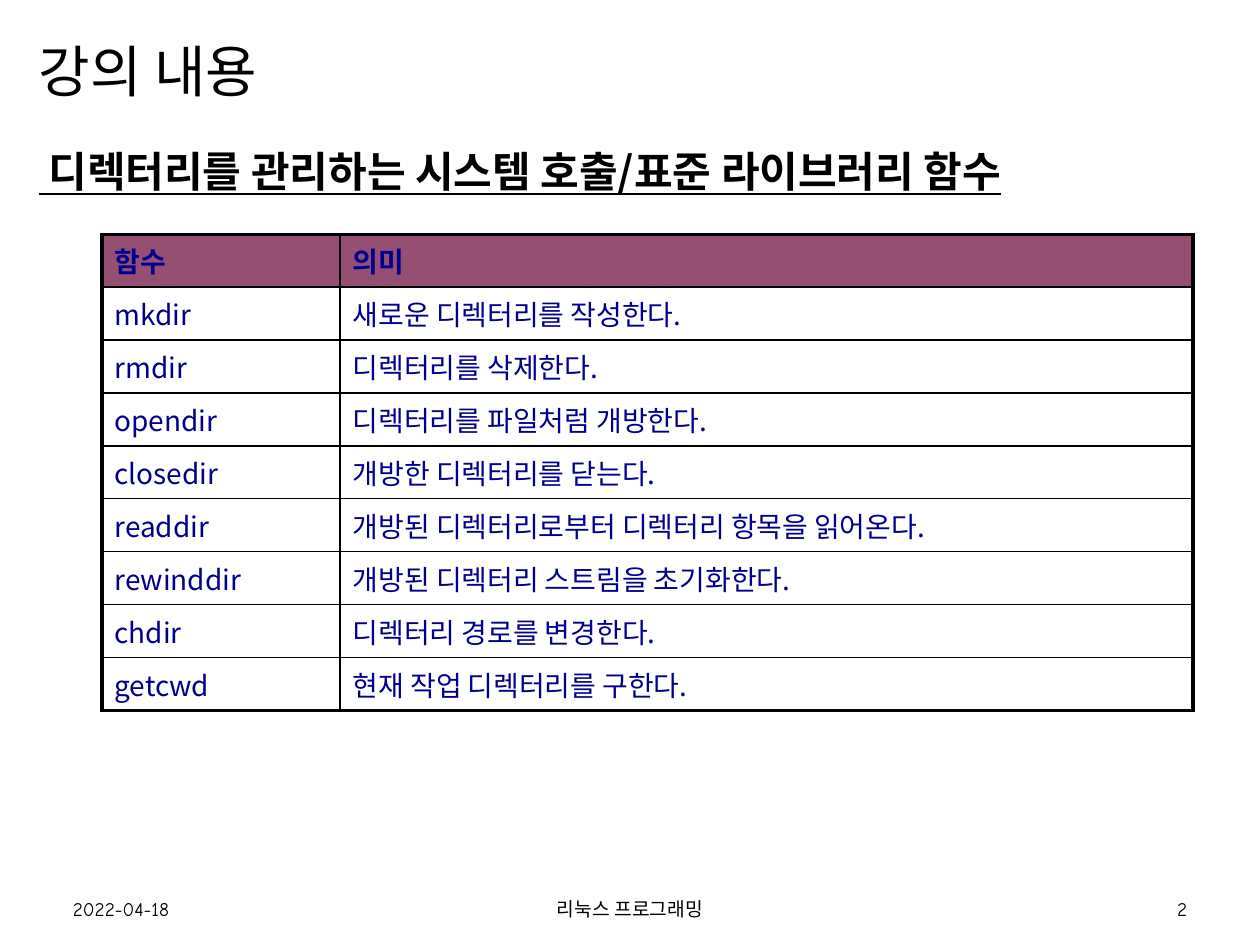
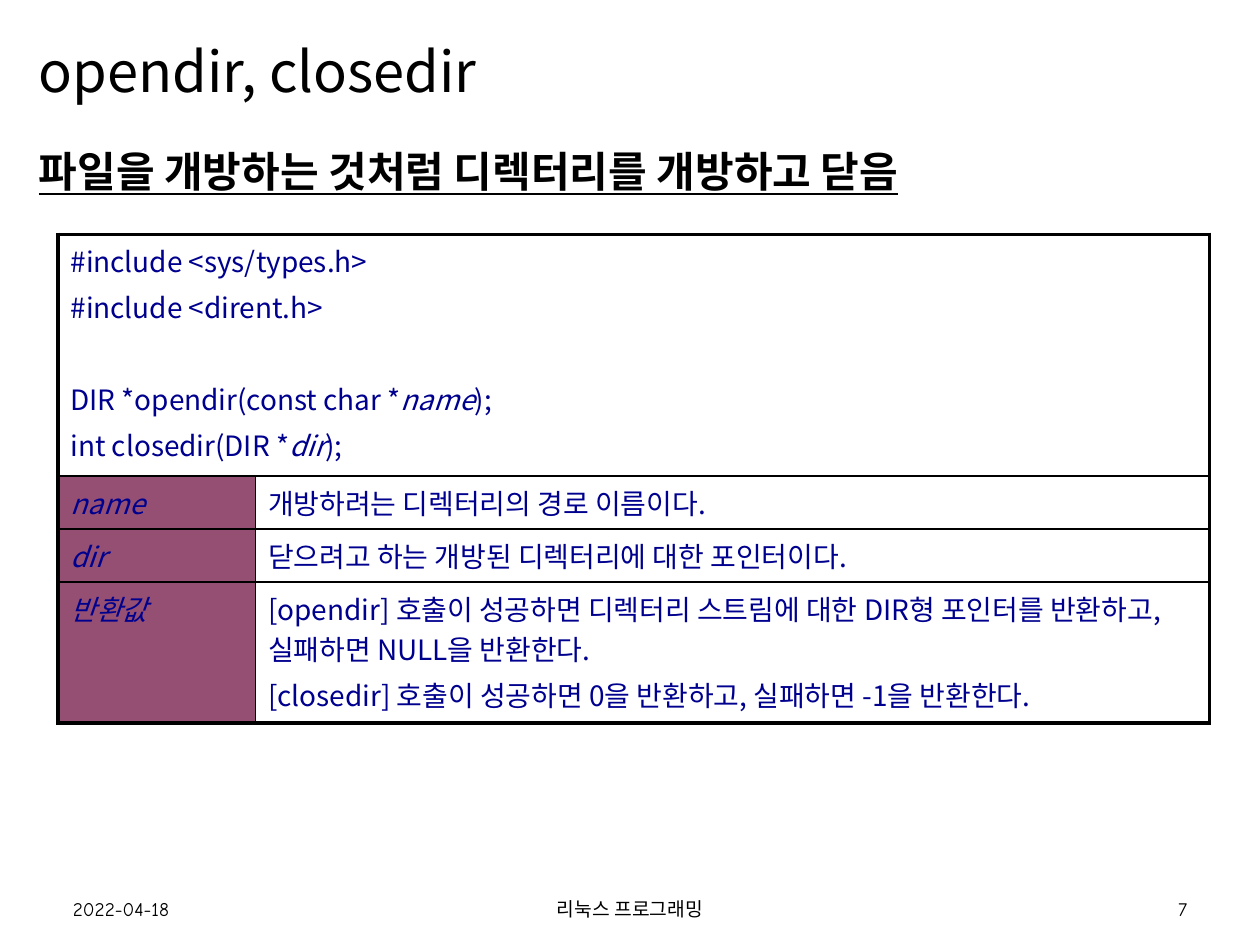
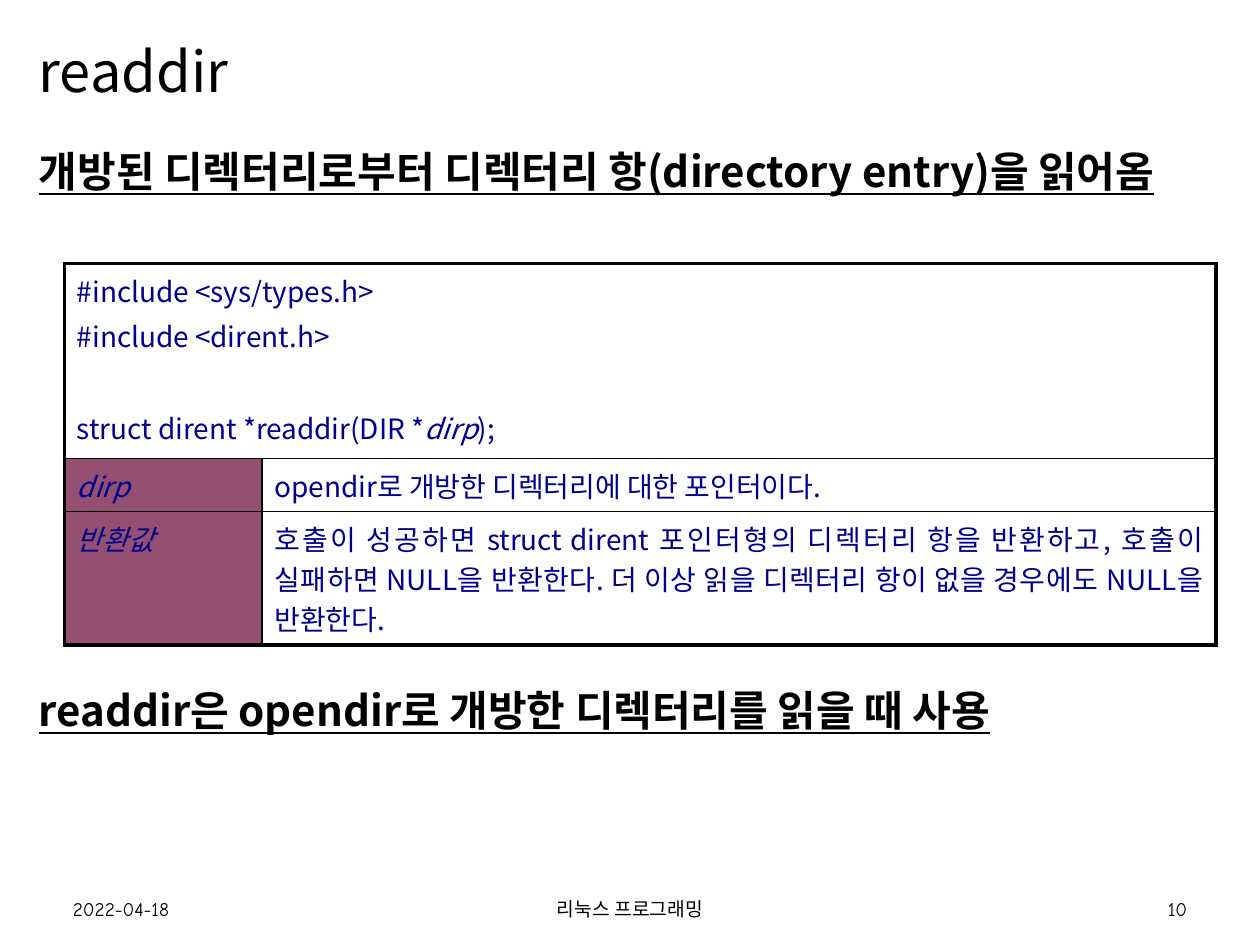
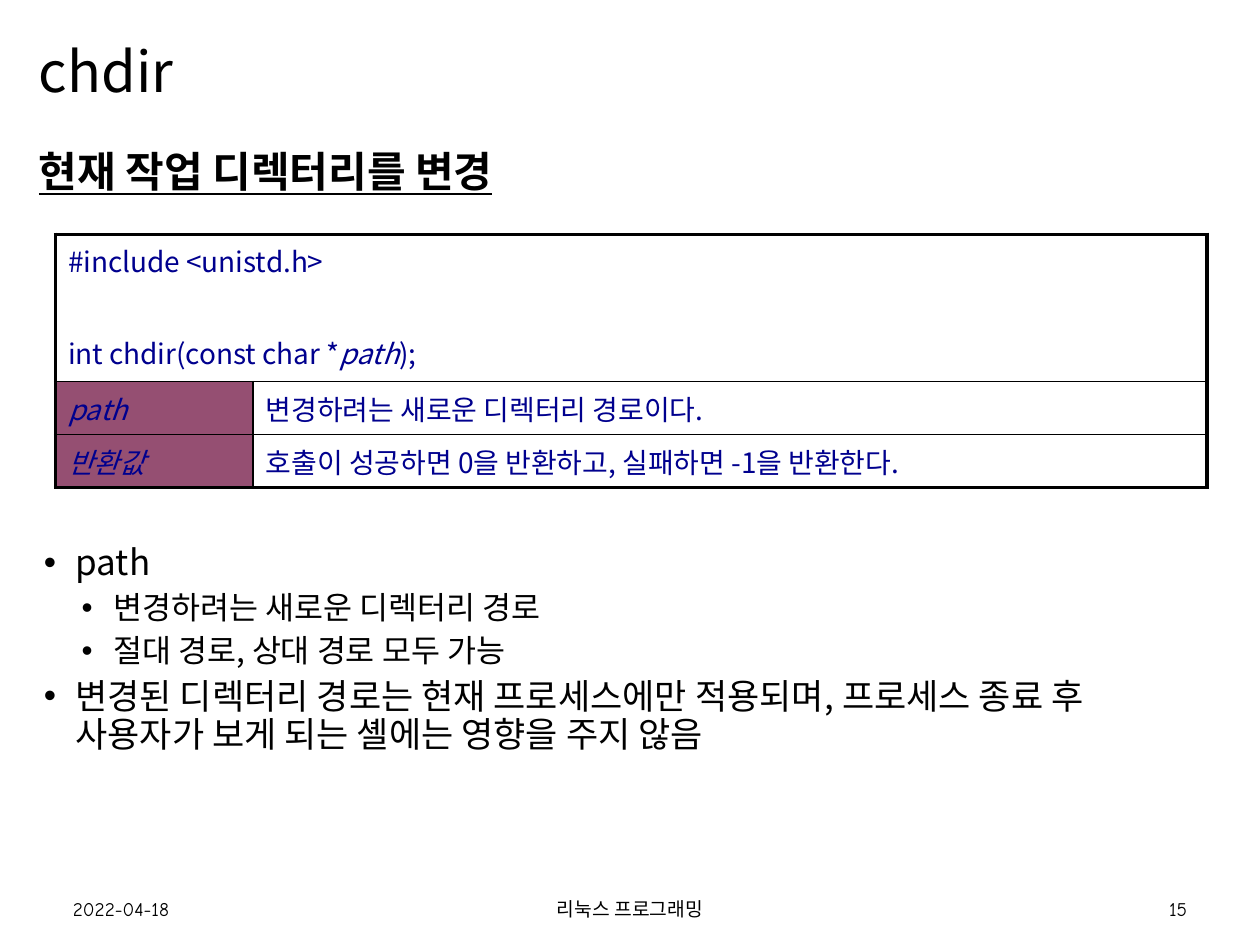
import dataclasses

import pptx
import pptx.dml.color
import pptx.enum.text
import pptx.oxml.ns
import pptx.util
from lxml import etree

RGBColor = pptx.dml.color.RGBColor
ALIGN = pptx.enum.text.PP_ALIGN
ANCHOR = pptx.enum.text.MSO_ANCHOR
qn = pptx.oxml.ns.qn

# Scale: 100 px to the inch
PX = 9144
PAGE_WIDTH, PAGE_HEIGHT = 1000, 750

# Shared style
BLACK = RGBColor(0x00, 0x00, 0x00)
NAVY = RGBColor(0x00, 0x00, 0x8E)
PLUM = RGBColor(0x95, 0x4F, 0x72)
TEXT_FONT = "Noto Sans CJK KR"
FOOTER_FONT = "Comic Neue"
TIGHT = 0.91  # line spacing of titles and body text
HEADING_STEP = 38.8  # points taken by one heading line with its gap
CELL_GAP = 3.2  # points between paragraphs in a cell
CODE_BREAK = 29.5  # gap that sets prototypes apart from includes
OUTER_LINE, INNER_LINE = 2.25, 1
ROW = 42
DATE = "2022-04-18"
COURSE = "리눅스 프로그래밍"


@dataclasses.dataclass
class Line:
    """One paragraph; words between underscores are italic."""
    text: str
    size: int = 16
    color: RGBColor = NAVY
    font: str = TEXT_FONT
    bold: bool = False
    underline: bool = False
    align: ALIGN = ALIGN.LEFT
    gap: float = CELL_GAP
    spacing: float = 1.0
    indent: int = 0


def heading(text, gap=10):
    return Line(text, 24, BLACK, bold=True, underline=True, gap=gap,
                spacing=TIGHT)


def bullet(text, level=1, gap=5):
    size, indent = {1: (20, 29), 2: (18, 59)}[level]
    return Line(text, size, BLACK, gap=gap, spacing=TIGHT, indent=indent)


def justified(text):
    return Line(text, align=ALIGN.JUSTIFY)


class Deck:
    def __init__(self):
        self.deck = pptx.Presentation()
        self.deck.slide_width = PAGE_WIDTH * PX
        self.deck.slide_height = PAGE_HEIGHT * PX
        self.page = None

    def add_page(self, title, number, body):
        self.page = self.deck.slides.add_slide(self.deck.slide_layouts[6])
        self.text((21, 10, 958, 97), [Line(title, 32, BLACK, spacing=TIGHT)],
                  ANCHOR.MIDDLE)
        self.text((21, 115, 958, 585), body)
        footers = [
            (48, 225, DATE, ALIGN.LEFT),
            (331, 338, COURSE, ALIGN.CENTER),
            (727, 225, str(number), ALIGN.RIGHT),
        ]
        for left, width, words, align in footers:
            line = Line(words, 11, BLACK, FOOTER_FONT, align=align)
            self.text((left, 707, width, 28), [line], ANCHOR.MIDDLE)

    def text(self, place, lines, anchor=ANCHOR.TOP):
        box = self.page.shapes.add_textbox(*(length * PX for length in place))
        box.text_frame.word_wrap = True
        box.text_frame.vertical_anchor = anchor
        self.fill_frame(box.text_frame, lines)

    def fill_frame(self, frame, lines):
        for index, line in enumerate(lines):
            para = frame.add_paragraph() if index else frame.paragraphs[0]
            para.alignment = line.align
            para.line_spacing = line.spacing
            if index:
                para.space_before = pptx.util.Pt(line.gap)
            if line.indent:
                self.add_bullet(para, line.indent)
            for part, words in enumerate(line.text.split("_")):
                for row, piece in enumerate(words.split("\n")):
                    if row:
                        para.add_line_break()
                    if piece:
                        self.add_span(para, piece, line, part % 2 == 1)

    def add_span(self, para, words, line, italic):
        span = para.add_run()
        span.text = words
        font = span.font
        font.name = line.font
        font.size = pptx.util.Pt(line.size)
        font.bold = line.bold
        font.italic = italic
        font.underline = line.underline
        font.color.rgb = line.color

    def add_bullet(self, para, indent):
        props = para._p.get_or_add_pPr()
        props.set("marL", str(indent * PX))
        props.set("indent", str(-25 * PX))
        etree.SubElement(props, qn("a:buFont"), typeface="Arial")
        etree.SubElement(props, qn("a:buChar"), char="•")

    def table(self, left, top, widths, heights, rows, shaded):
        """Rows hold cells, cells hold lines; a lone cell spans its row."""
        table = self.page.shapes.add_table(
            len(rows), len(widths), left * PX, top * PX,
            sum(widths) * PX, sum(heights) * PX).table
        table.first_row = table.horz_banding = False
        for column, width in zip(table.columns, widths):
            column.width = width * PX
        for row, height in zip(table.rows, heights):
            row.height = height * PX
        last_row, last_column = len(rows) - 1, len(widths) - 1
        for r, cells in enumerate(rows):
            spans_row = len(cells) == 1
            if spans_row:
                table.cell(r, 0).merge(table.cell(r, last_column))
            for c in range(len(widths)):
                cell = table.cell(r, c)
                self.add_borders(cell, {
                    "L": c == 0 or spans_row,
                    "R": c == last_column or spans_row,
                    "T": r == 0,
                    "B": r == last_row,
                })
                if shaded(r, c):
                    cell.fill.solid()
                    cell.fill.fore_color.rgb = PLUM
                else:
                    cell.fill.background()
                if c < len(cells):
                    self.fill_frame(cell.text_frame, cells[c])

    def add_borders(self, cell, outer_sides):
        props = cell._tc.get_or_add_tcPr()
        for side, is_outer in outer_sides.items():
            points = OUTER_LINE if is_outer else INNER_LINE
            border = etree.SubElement(props, qn("a:ln" + side),
                                      w=str(int(pptx.util.Pt(points))))
            fill = etree.SubElement(border, qn("a:solidFill"))
            etree.SubElement(fill, qn("a:srgbClr"), val=str(BLACK))

    def function_table(self, left, top, heights, code, details):
        """Code across the top, then a shaded name beside each explanation."""
        rows = [[code]] + [[[Line(f"_{name}_")], lines] for name, lines in details]
        self.table(left, top, [157, 757], heights, rows,
                   lambda r, c: r > 0 and c == 0)


def build():
    deck = Deck()

    # Lecture contents
    deck.add_page("강의 내용", 2, [
        heading(" 디렉터리를 관리하는 시스템 호출/표준 라이브러리 함수")])
    functions = [
        ("mkdir", "새로운 디렉터리를 작성한다."),
        ("rmdir", "디렉터리를 삭제한다."),
        ("opendir", "디렉터리를 파일처럼 개방한다."),
        ("closedir", "개방한 디렉터리를 닫는다."),
        ("readdir", "개방된 디렉터리로부터 디렉터리 항목을 읽어온다."),
        ("rewinddir", "개방된 디렉터리 스트림을 초기화한다."),
        ("chdir", "디렉터리 경로를 변경한다."),
        ("getcwd", "현재 작업 디렉터리를 구한다."),
    ]
    rows = [[[Line(words, bold=True)] for words in ("함수", "의미")]]
    rows += [[[Line(words)] for words in pair] for pair in functions]
    deck.table(81, 186, [189, 677], [ROW] * len(rows), rows,
               lambda r, c: r == 0)

    # opendir, closedir
    deck.add_page("opendir, closedir", 7, [
        heading("파일을 개방하는 것처럼 디렉터리를 개방하고 닫음")])
    deck.function_table(46, 186, [192, ROW, ROW, 112], [
        Line("#include <sys/types.h>"),
        Line("#include <dirent.h>"),
        Line("DIR *opendir(const char *_name_);", gap=CODE_BREAK),
        Line("int closedir(DIR *_dir_);"),
    ], [
        ("name", [Line("개방하려는 디렉터리의 경로 이름이다.")]),
        ("dir", [justified("닫으려고 하는 개방된 디렉터리에 대한 포인터이다.")]),
        ("반환값", [
            Line("[opendir] 호출이 성공하면 디렉터리 스트림에 대한 DIR형 포인터를 "
                 "반환하고, 실패하면 NULL을 반환한다."),
            Line("[closedir] 호출이 성공하면 0을 반환하고, 실패하면 -1을 반환한다."),
        ]),
    ])

    # readdir
    deck.add_page("readdir", 10, [
        heading("개방된 디렉터리로부터 디렉터리 항(directory entry)을 읽어옴"),
        heading("readdir은 opendir로 개방한 디렉터리를 읽을 때 사용",
                gap=10 + 7 * HEADING_STEP),
    ])
    deck.function_table(51, 209, [155, ROW, 106], [
        Line("#include <sys/types.h>"),
        Line("#include <dirent.h>"),
        Line("struct dirent *readdir(DIR *_dirp_);", gap=CODE_BREAK),
    ], [
        ("dirp", [Line("opendir로 개방한 디렉터리에 대한 포인터이다.")]),
        ("반환값", [justified(
            "호출이 성공하면 struct dirent 포인터형의 디렉터리 항을 반환하고, "
            "호출이 실패하면 NULL을 반환한다. 더 이상 읽을 디렉터리 항이 없을 "
            "경우에도 NULL을 반환한다.")]),
    ])

    # chdir
    deck.add_page("chdir", 15, [
        heading("현재 작업 디렉터리를 변경"),
        bullet("path", gap=5 + 5 * HEADING_STEP),
        bullet("변경하려는 새로운 디렉터리 경로", level=2),
        bullet("절대 경로, 상대 경로 모두 가능", level=2),
        bullet("변경된 디렉터리 경로는 현재 프로세스에만 적용되며, 프로세스 종료 후\n"
               "사용자가 보게 되는 셸에는 영향을 주지 않음"),
    ])
    deck.function_table(44, 186, [117, ROW, ROW], [
        Line("#include <unistd.h>"),
        Line("int chdir(const char *_path_);", gap=CODE_BREAK),
    ], [
        ("path", [Line("변경하려는 새로운 디렉터리 경로이다.")]),
        ("반환값", [justified("호출이 성공하면 0을 반환하고, 실패하면 -1을 반환한다.")]),
    ])

    deck.deck.save("out.pptx")


if __name__ == "__main__":
    build()
